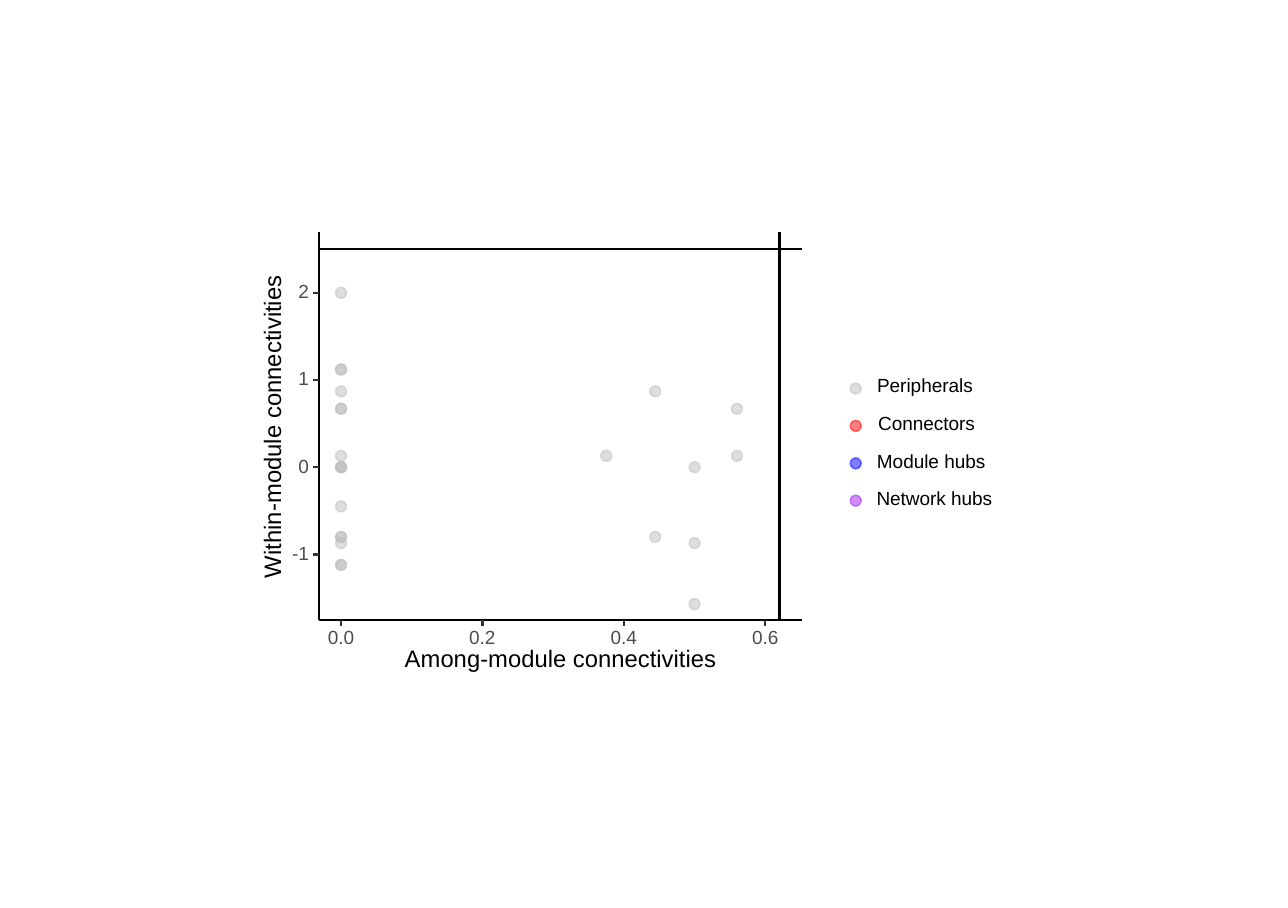
from dataclasses import dataclass

from lxml import etree
from pptx import Presentation
from pptx.dml.color import RGBColor
from pptx.enum.shapes import MSO_CONNECTOR, MSO_SHAPE
from pptx.enum.text import MSO_ANCHOR, PP_ALIGN
from pptx.oxml.ns import qn
from pptx.util import Inches, Pt

OVAL, RECTANGLE = MSO_SHAPE.OVAL, MSO_SHAPE.RECTANGLE
STRAIGHT = MSO_CONNECTOR.STRAIGHT
MIDDLE = MSO_ANCHOR.MIDDLE
CENTER = PP_ALIGN.CENTER

WHITE = RGBColor(0xFF, 0xFF, 0xFF)
BLACK = RGBColor(0x00, 0x00, 0x00)
TICK_GRAY = RGBColor(0x33, 0x33, 0x33)
LABEL_GRAY = RGBColor(0x4D, 0x4D, 0x4D)
GRAY = RGBColor(0xBE, 0xBE, 0xBE)
RED = RGBColor(0xFF, 0x00, 0x00)
BLUE = RGBColor(0x00, 0x00, 0xFF)
PURPLE = RGBColor(0xA0, 0x20, 0xF0)

# Plot area and the scales that carry data values onto the slide, in inches
LEFT, RIGHT, TOP, BOTTOM = 2.05, 5.15, 1.49, 3.98
X_ZERO, X_UNIT = 2.19, 4.54
Y_ZERO, Y_UNIT = 3.0, 0.56
TICK = 0.04
DOT = 0.07
X_THRESHOLD, Y_THRESHOLD = 0.62, 2.5

LABEL_SIZE, TITLE_SIZE = 8.8, 11

# Within-module values of the nodes at each among-module value
NODES = {
    0: (0, -0.8, 1.12, 0.87, 1.12, 0.13, -0.87, 0, 0.67, -0.8, -0.45,
        -1.12, -1.12, 0, 2, 0.67),
    3 / 8: (0.13,),
    4 / 9: (0.87, -0.8),
    0.5: (-1.57, -0.87, 0),
    0.56: (0.13, 0.67),
}


@dataclass
class Label:
    """A line of text centred on x, y."""
    text: str
    x: float
    y: float
    width: float
    height: float = 0.09
    size: float = LABEL_SIZE
    color: RGBColor = LABEL_GRAY
    rotation: float = 0


@dataclass
class LegendEntry:
    text: str
    color: RGBColor
    x: float
    y: float
    width: float


LEGEND = (
    LegendEntry("Peripherals", GRAY, 5.94, 2.48, 0.66),
    LegendEntry("Connectors", RED, 5.95, 2.73, 0.66),
    LegendEntry("Module hubs", BLUE, 5.98, 2.97, 0.74),
    LegendEntry("Network hubs", PURPLE, 6.0, 3.21, 0.79),
)
LEGEND_DOT_LEFT, LEGEND_DOT_TOP, LEGEND_STEP = 5.46, 2.46, 0.24

AXIS_TITLES = (
    Label("Among-module connectivities", 3.6, 4.24, 2.05, 0.14,
          TITLE_SIZE, BLACK),
    Label("Within-module connectivities", 1.76, 2.74, 2.0, 0.11,
          TITLE_SIZE, BLACK, 270),
)


def x_pos(value: float) -> float:
    return X_ZERO + value * X_UNIT


def y_pos(value: float) -> float:
    return Y_ZERO - value * Y_UNIT


def add_filled(s, kind, left: float, top: float, width: float, height: float,
               color: RGBColor):
    """Draw a preset shape whose fill and line share one colour."""
    sp = s.shapes.add_shape(kind, Inches(left), Inches(top),
                            Inches(width), Inches(height))
    sp.shadow.inherit = False
    sp.fill.solid()
    sp.fill.fore_color.rgb = color
    sp.line.color.rgb = color
    return sp


def add_dot(s, x: float, y: float, color: RGBColor) -> None:
    """Draw a half-transparent dot centred on x, y."""
    sp = add_filled(s, OVAL, x - DOT / 2, y - DOT / 2, DOT, DOT, color)
    sp.line.width = Pt(0.71)
    for clr in sp._element.spPr.iter(qn("a:srgbClr")):
        etree.SubElement(clr, qn("a:alpha")).set("val", "50000")


def add_line(s, x1: float, y1: float, x2: float, y2: float,
             color: RGBColor = BLACK) -> None:
    line = s.shapes.add_connector(STRAIGHT, Inches(x1), Inches(y1),
                                  Inches(x2), Inches(y2))
    line.line.color.rgb = color
    line.line.width = Pt(1.07)
    etree.SubElement(line._element.spPr, qn("a:effectLst"))


def add_label(s, label: Label) -> None:
    sp = s.shapes.add_textbox(Inches(label.x - label.width / 2),
                              Inches(label.y - label.height / 2),
                              Inches(label.width), Inches(label.height))
    sp.rotation = label.rotation
    tf = sp.text_frame
    frame_format = {"margin_left": 0, "margin_right": 0, "margin_top": 0,
                    "margin_bottom": 0, "word_wrap": False,
                    "vertical_anchor": MIDDLE}
    for name, value in frame_format.items():
        setattr(tf, name, value)
    p = tf.paragraphs[0]
    p.alignment = CENTER
    p.line_spacing = Pt(label.size)
    r = p.add_run()
    r.text = label.text
    for name, value in {"name": "Arial", "size": Pt(label.size)}.items():
        setattr(r.font, name, value)
    r.font.color.rgb = label.color


def add_plot(s) -> None:
    panel = add_filled(s, RECTANGLE, 1.64, 1.41, 5, 3, WHITE)
    panel.line.width = Pt(1.07)
    for among, within_values in NODES.items():
        for within in within_values:
            add_dot(s, x_pos(among), y_pos(within), GRAY)
    add_line(s, x_pos(X_THRESHOLD), BOTTOM, x_pos(X_THRESHOLD), TOP)
    add_line(s, LEFT, y_pos(Y_THRESHOLD), RIGHT, y_pos(Y_THRESHOLD))


def add_axes(s) -> None:
    add_line(s, LEFT, BOTTOM, LEFT, TOP)
    for value in (-1, 0, 1, 2):
        y = y_pos(value)
        x = 1.93 if value < 0 else 1.95
        add_line(s, LEFT - TICK, y, LEFT, y, TICK_GRAY)
        add_label(s, Label(str(value), x, y, 0.14))

    add_line(s, LEFT, BOTTOM, RIGHT, BOTTOM)
    for value in (0.0, 0.2, 0.4, 0.6):
        x = x_pos(value)
        add_line(s, x, BOTTOM + TICK, x, BOTTOM, TICK_GRAY)
        add_label(s, Label(str(value), x, 4.1, 0.2))

    for title in AXIS_TITLES:
        add_label(s, title)


def add_legend(s) -> None:
    panel = add_filled(s, RECTANGLE, 5.3, 2.06, 1.26, 1.34, WHITE)
    panel.line.fill.background()
    for i, entry in enumerate(LEGEND):
        add_dot(s, LEGEND_DOT_LEFT + DOT / 2,
                LEGEND_DOT_TOP + DOT / 2 + i * LEGEND_STEP, entry.color)
        add_label(s, Label(entry.text, entry.x, entry.y, entry.width,
                           color=BLACK))


def main() -> None:
    prs = Presentation()
    prs.slide_width, prs.slide_height = Inches(8.27), Inches(5.83)
    s = prs.slides.add_slide(prs.slide_layouts[6])
    add_plot(s)
    add_axes(s)
    add_legend(s)
    prs.save("out.pptx")


if __name__ == "__main__":
    main()
